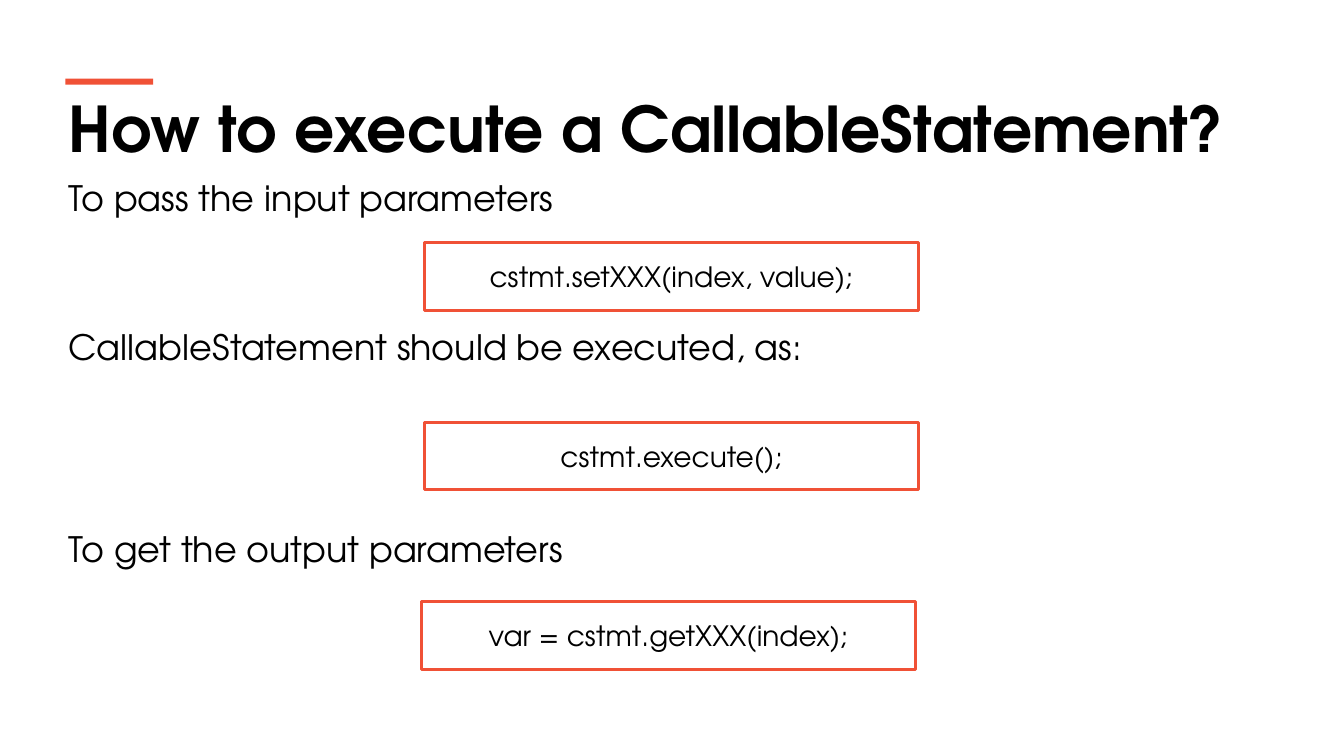
"""Build a slide on running a CallableStatement in three steps."""
from pptx import Presentation
from pptx.dml.color import RGBColor
from pptx.enum.shapes import MSO_SHAPE
from pptx.enum.text import MSO_ANCHOR, PP_ALIGN
from pptx.util import Inches, Pt

RECTANGLE = MSO_SHAPE.RECTANGLE
MIDDLE = MSO_ANCHOR.MIDDLE
CENTER = PP_ALIGN.CENTER
FONT = "TeX Gyre Adventor"
COLORS = {"accent": "F05136", "text": "000000"}
TEXT_LEFT = 0.58
CODE_TOP, CODE_PITCH = 2.41, 1.78
STEPS = [
    ("To pass the input parameters", 1.7, "cstmt.setXXX(index, value);", 4.21),
    ("CallableStatement should be executed, as:", 3.18, "cstmt.execute();", 4.21),
    ("To get the output parameters", 5.18, "var = cstmt.getXXX(index);", 4.18),
]


def color(name):
    """Return the named colour."""
    return RGBColor.from_string(COLORS[name])


def write(shape, text, size, bold=False):
    """Put one formatted line of text into a shape."""
    frame = shape.text_frame
    frame.word_wrap = True
    frame.text = text
    font = frame.paragraphs[0].runs[0].font
    font.name = FONT
    font.size = Pt(size)
    font.bold = bold
    font.color.rgb = color("text")


def add_text(page, text, top, width, height, size, bold=False):
    """Add a left-aligned text box."""
    box = page.shapes.add_textbox(
        Inches(TEXT_LEFT), Inches(top), Inches(width), Inches(height))
    write(box, text, size, bold)


def add_rectangle(page, left, top, width, height):
    """Add a rectangle without a shadow."""
    box = page.shapes.add_shape(
        RECTANGLE, Inches(left), Inches(top), Inches(width), Inches(height))
    box.shadow.inherit = False
    return box


def add_accent_bar(page):
    """Add the short bar above the title."""
    bar = add_rectangle(page, 0.65, 0.78, 0.87, 0.06)
    bar.fill.solid()
    bar.fill.fore_color.rgb = color("accent")
    bar.line.fill.background()


def add_code_box(page, code, left, top):
    """Add an outlined box with a centred line of code."""
    box = add_rectangle(page, left, top, 4.9, 0.67)
    box.fill.background()
    box.line.color.rgb = color("accent")
    box.line.width = Pt(2.25)
    write(box, code, 20)
    box.text_frame.vertical_anchor = MIDDLE
    box.text_frame.paragraphs[0].alignment = CENTER


def main():
    """Build and save the deck."""
    deck = Presentation()
    deck.slide_width, deck.slide_height = Inches(13.33), Inches(7.5)
    page = deck.slides.add_slide(deck.slide_layouts[6])
    add_text(page, "How to execute a CallableStatement?", 0.84, 12.18, 0.86, 45, True)
    add_accent_bar(page)
    for index, (label, label_top, code, code_left) in enumerate(STEPS):
        add_text(page, label, label_top, 12.11, 0.52, 25)
        add_code_box(page, code, code_left, CODE_TOP + index * CODE_PITCH)
    deck.save("out.pptx")


if __name__ == "__main__":
    main()
